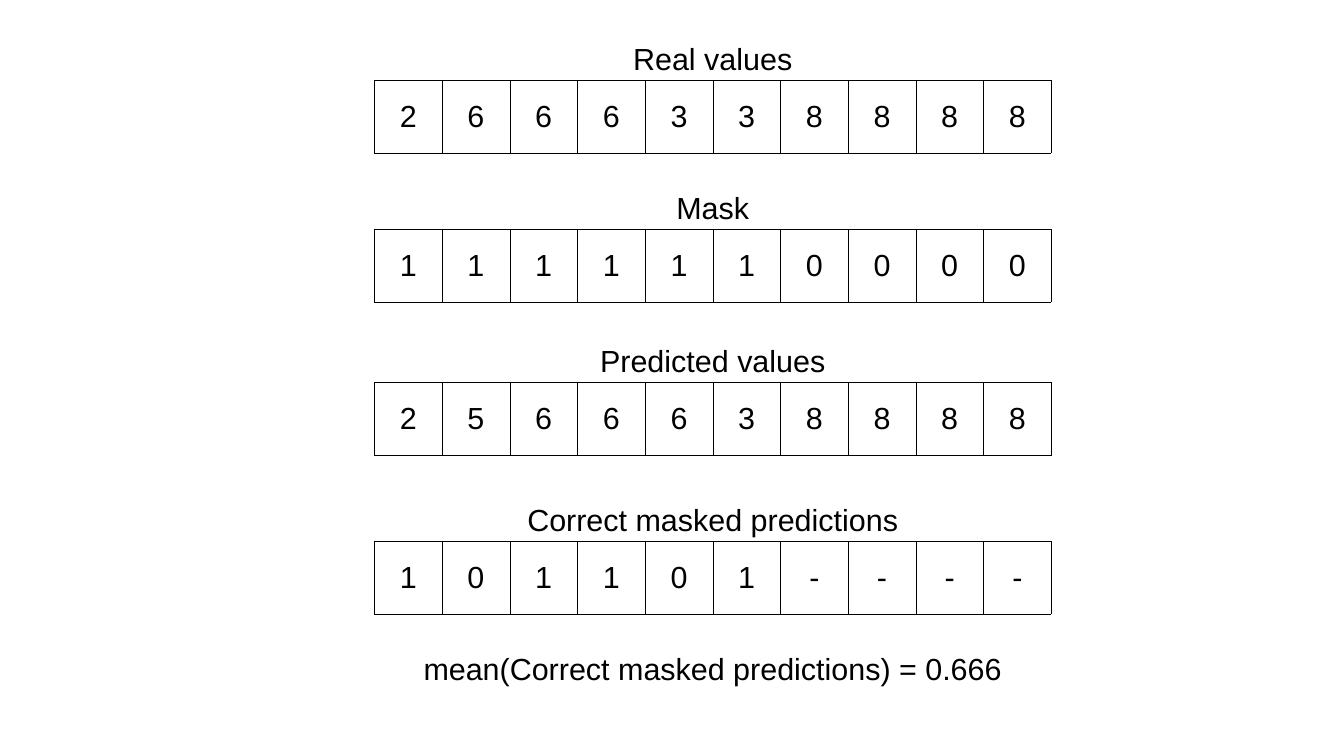
from lxml import etree
from pptx import Presentation
from pptx.dml.color import RGBColor
from pptx.enum.text import MSO_ANCHOR, MSO_AUTO_SIZE, PP_ALIGN
from pptx.oxml.ns import qn
from pptx.util import Cm, Pt

BLACK = RGBColor(0x00, 0x00, 0x00)
WHITE = RGBColor(0xFF, 0xFF, 0xFF)

TABLE_LEFT = 7.8
CELL_WIDTH = 1.41
ROW_HEIGHT = 1.52
LABEL_HEIGHT = 0.96
CENTER = TABLE_LEFT + 5 * CELL_WIDTH

SEQUENCES = [
    ("Real values", 3.95, 0.71, "2666338888"),
    ("Mask", 2.15, 3.81, "1111110000"),
    ("Predicted values", 5.35, 7.01, "2566638888"),
    ("Correct masked predictions", 8.4, 10.31, "101101----"),
]


def write_text(frame, text, font="Arial", size=18, color=BLACK, align=PP_ALIGN.CENTER):
    paragraph = frame.paragraphs[0]
    paragraph.alignment = align
    run = paragraph.add_run()
    run.text = text
    run.font.name = font
    run.font.size = Pt(size)
    run.font.color.rgb = color


class SlideBuilder:
    def __init__(self, slide, border_color=BLACK, border_width=0.06, cell_fill=WHITE):
        self.slide = slide
        self.border_color = border_color
        self.border_width = border_width
        self.cell_fill = cell_fill

    def label(self, text, top, width):
        shape = self.slide.shapes.add_textbox(
            Cm(CENTER - width / 2), Cm(top), Cm(width), Cm(LABEL_HEIGHT)
        )
        frame = shape.text_frame
        frame.word_wrap = False
        frame.auto_size = MSO_AUTO_SIZE.SHAPE_TO_FIT_TEXT
        write_text(frame, text)

    def value_row(self, values, top):
        shape = self.slide.shapes.add_table(
            1, len(values), Cm(TABLE_LEFT), Cm(top),
            Cm(CELL_WIDTH * len(values)), Cm(ROW_HEIGHT),
        )
        table = shape.table
        table.first_row = False
        table.horz_banding = False
        for column, value in enumerate(values):
            table.columns[column].width = Cm(CELL_WIDTH)
            self.fill_cell(table.cell(0, column), value)

    def fill_cell(self, cell, value):
        cell.vertical_anchor = MSO_ANCHOR.MIDDLE
        write_text(cell.text_frame, value)
        self.add_borders(cell)
        cell.fill.solid()
        cell.fill.fore_color.rgb = self.cell_fill

    def add_borders(self, cell):
        properties = cell._tc.get_or_add_tcPr()
        for side in ("a:lnL", "a:lnR", "a:lnT", "a:lnB"):
            line = etree.SubElement(properties, qn(side), w=str(Pt(self.border_width)))
            fill = etree.SubElement(line, qn("a:solidFill"))
            etree.SubElement(fill, qn("a:srgbClr"), val=str(self.border_color))


def main():
    presentation = Presentation()
    presentation.slide_width = Cm(28)
    presentation.slide_height = Cm(15.75)
    slide = presentation.slides.add_slide(presentation.slide_layouts[6])
    builder = SlideBuilder(slide)
    for title, width, top, values in SEQUENCES:
        builder.label(title, top, width)
        builder.value_row(values, top + LABEL_HEIGHT)
    builder.label("mean(Correct masked predictions) = 0.666", 13.41, 12.8)
    presentation.save("out.pptx")


if __name__ == "__main__":
    main()
